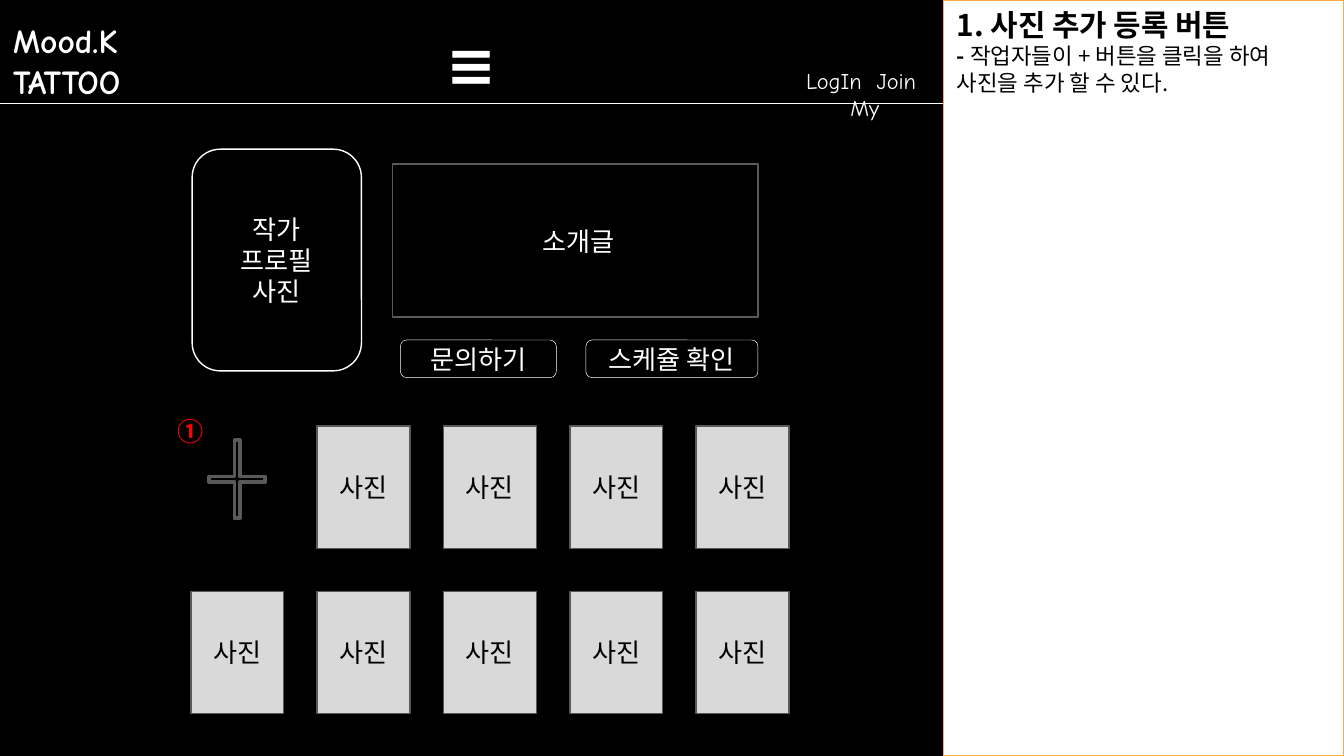
from lxml import etree
from pptx import Presentation
from pptx.dml.color import RGBColor
from pptx.enum import shapes, text
from pptx.oxml.ns import qn
from pptx.util import Inches, Pt

BLACK = RGBColor(0, 0, 0)
WHITE = RGBColor(255, 255, 255)
GRAY = RGBColor(0x59, 0x59, 0x59)
LIGHT = RGBColor(0xD9, 0xD9, 0xD9)
RED = RGBColor(255, 0, 0)
ORANGE = RGBColor(0xFF, 0xAB, 0x40)
LATIN = "Comic Neue"
KOREAN = "Noto Sans CJK KR"
SLIDE_W = 10
SLIDE_H = SLIDE_W * 9 / 16
SHAPE = shapes.MSO_SHAPE
CENTER = text.PP_ALIGN.CENTER
LEFT = text.PP_ALIGN.LEFT
TOP = text.MSO_ANCHOR.TOP
MIDDLE = text.MSO_ANCHOR.MIDDLE


def add_run(p, words, size, color, font=KOREAN, bold=False):
    """Add one formatted run to a paragraph."""
    r = p.add_run()
    r.text = words
    r.font.size, r.font.bold, r.font.name = Pt(size), bold, font
    r.font.color.rgb = color
    etree.SubElement(r.font._element, qn("a:ea")).set("typeface", font)


def fill_text(sp, lines, size, color, font=KOREAN, bold=False, align=CENTER,
              anchor=MIDDLE, insets=(0.1, 0.05, 0.1, 0.05)):
    """Write one paragraph per line into a shape."""
    tf = sp.text_frame
    tf.word_wrap, tf.vertical_anchor = True, anchor
    tf.margin_left, tf.margin_top, tf.margin_right, tf.margin_bottom = map(Inches, insets)
    for i, line in enumerate(lines):
        p = tf.add_paragraph() if i else tf.paragraphs[0]
        p.alignment = align
        add_run(p, line, size, color, font, bold)


def add_label(s, box, lines, size, color, **style):
    """Add a text box."""
    sp = s.shapes.add_textbox(*map(Inches, box))
    fill_text(sp, lines, size, color, anchor=TOP, **style)


def add_box(s, kind, box, fill, line, width=0.75):
    """Add a filled and outlined preset shape."""
    sp = s.shapes.add_shape(kind, *map(Inches, box))
    sp.shadow.inherit = False
    sp.fill.solid()
    sp.fill.fore_color.rgb = fill
    sp.line.color.rgb = line
    sp.line.width = Pt(width)
    return sp


def add_header(s, x, y, w, h):
    """Draw the site header with its name, menu, links and rule."""
    add_label(s, (x + 3.11, y + 0.2, 0.8, 0.41), ["≡"], 32, WHITE, font=LATIN,
              bold=True, insets=(0.1, 0, 0.1, 0))
    add_label(s, (x, y + 0.11, 1.14, 0.59), ["Mood.K", "TATTOO"], 18, WHITE, font=LATIN,
              bold=True, align=LEFT, insets=(0.1, 0.04, 0.1, 0.1))
    add_label(s, (x + w - 1.14, y + 0.5, 1.11, 0.2), ["LogIn  Join  My"], 12, WHITE,
              font=LATIN, insets=(0, 0, 0, 0))
    rule = s.shapes.add_connector(shapes.MSO_CONNECTOR.STRAIGHT, Inches(x), Inches(y + h),
                                  Inches(x + w), Inches(y + h))
    rule.line.color.rgb = WHITE
    rule.line.width = Pt(0.75)
    etree.SubElement(rule._element.spPr, qn("a:effectLst"))


def add_profile(s, x, y, w, h):
    """Draw the artist portrait, introduction and buttons."""
    right = x + w
    insets = (0.1, 0.1, 0.1, 0.1)
    sp = add_box(s, SHAPE.ROUNDED_RECTANGLE, (x, y, 1.26, h), BLACK, WHITE)
    fill_text(sp, ["작가", "프로필 사진"], 14, WHITE, insets=insets)
    sp = add_box(s, SHAPE.RECTANGLE, (right - 2.72, y + 0.11, 2.72, 1.14), BLACK, GRAY)
    fill_text(sp, [" 소개글"], 14, WHITE, insets=insets)
    for label, left, width in (("문의하기", right - 2.66, 1.16),
                               ("스케쥴 확인", right - 1.28, 1.28)):
        sp = add_box(s, SHAPE.ROUNDED_RECTANGLE, (left, y + 1.42, width, 0.28),
                     BLACK, WHITE, 0.25)
        fill_text(sp, [label], 14, WHITE)


def add_gallery(s, x, y, w, h):
    """Draw the photo grid, whose first cell is the add button."""
    cols, rows, photo_w, photo_h = 5, 2, 0.69, 0.91
    step_x = (w - photo_w) / (cols - 1)
    step_y = (h - photo_h) / (rows - 1)
    for i in range(1, cols * rows):
        row, col = divmod(i, cols)
        sp = add_box(s, SHAPE.RECTANGLE,
                     (x + col * step_x, y + row * step_y, photo_w, photo_h), LIGHT, GRAY)
        fill_text(sp, ["사진"], 14, BLACK, insets=(0.1, 0.1, 0.1, 0.1))
    plus = add_box(s, SHAPE.MATH_PLUS, (x + 0.06, y, 0.57, 0.79), BLACK, GRAY, 2)
    plus.adjustments[0] = 0.07
    add_label(s, (x - 0.2, y - 0.13, 0.3, 0.34), ["①"], 14, RED, bold=True, align=LEFT)


def add_notes_panel(s, x, y, w, h):
    """Draw the description panel."""
    sp = add_box(s, SHAPE.RECTANGLE, (x, y, w, h), WHITE, ORANGE, 1)
    fill_text(sp, ["1. 사진 추가 등록 버튼"], 16, BLACK, bold=True, align=LEFT, anchor=TOP)
    p = sp.text_frame.add_paragraph()
    p.alignment = LEFT
    add_run(p, "- ", 12, BLACK, bold=True)
    add_run(p, "작업자들이 + 버튼을 클릭을 하여 사진을 추가 할 수 있다.", 12, BLACK)


def main():
    """Build and save the slide."""
    prs = Presentation()
    prs.slide_width, prs.slide_height = Inches(SLIDE_W), Inches(SLIDE_H)
    s = prs.slides.add_slide(prs.slide_layouts[6])
    s.background.fill.solid()
    s.background.fill.fore_color.rgb = BLACK
    add_header(s, 0, 0, 7.02, 0.77)
    add_profile(s, 1.43, 1.11, 4.21, 1.65)
    add_gallery(s, 1.42, 3.17, 4.45, 2.14)
    add_notes_panel(s, 7.02, 0, SLIDE_W - 7.02, SLIDE_H)
    prs.save("out.pptx")


if __name__ == "__main__":
    main()
